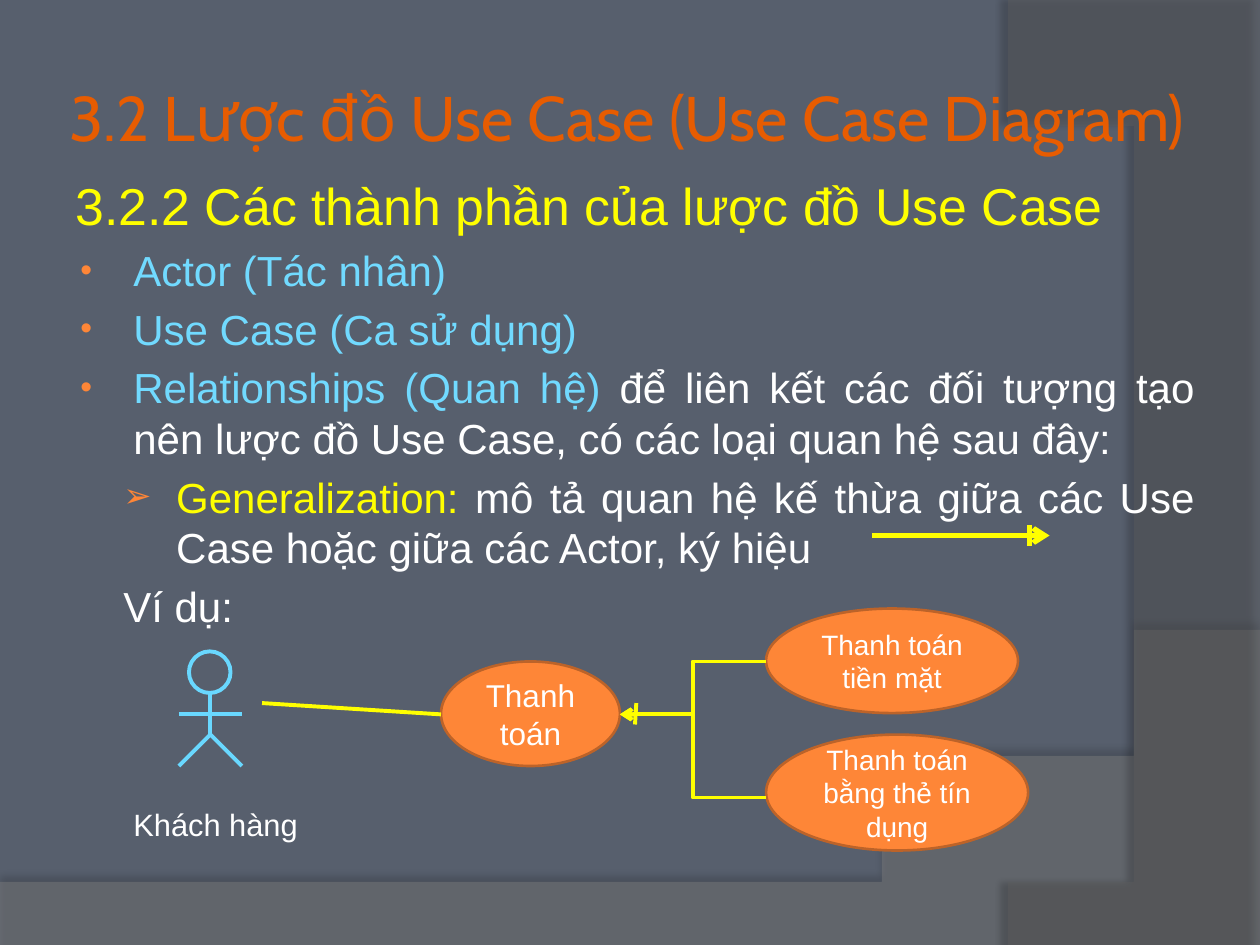
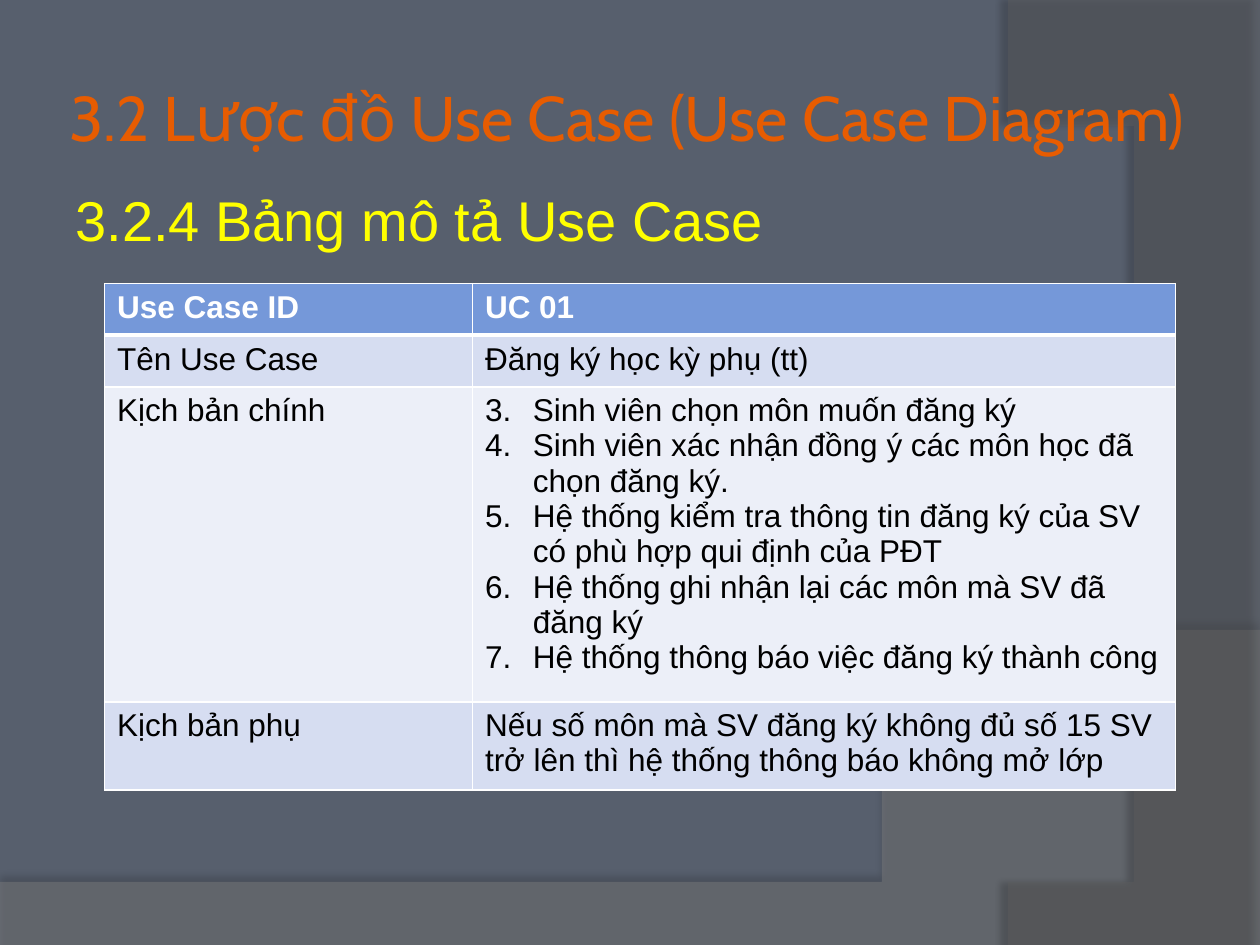
from lxml.etree import SubElement
from pptx import Presentation
from pptx.dml.color import RGBColor
from pptx.enum.shapes import MSO_CONNECTOR as LINK, MSO_SHAPE as SHAPE
from pptx.enum.text import MSO_ANCHOR as ANCHOR, PP_ALIGN as ALIGN
from pptx.oxml.ns import qn
from pptx.util import Inches, Pt

COLORS = {
    "page": "575F6D", "lower_band": "7F7F7F", "right_band": "5E5E5E", "shadow": "000000",
    "title": "E75C01", "yellow": "FFFF00", "sky": "71DAFF", "actor": "69D8FF",
    "white": "FFFFFF", "black": "000000", "orange": "FE8637", "rim": "BC6329",
    "header": "7598D9", "row_dark": "D6DDF1", "row_light": "ECEFF8",
}
RGB = {name: RGBColor.from_string(value) for name, value in COLORS.items()}
TITLE = "3.2 Lược đồ Use Case (Use Case Diagram)"


def write(para, runs, size, face="Arial", **style):
    for text, color in runs:
        span = para.add_run()
        span.text = text
        span.font.color.rgb = RGB[color]
        for name, value in {"size": Pt(size), "name": face, **style}.items():
            setattr(span.font, name, value)


def connect(page, start, end, color, width, kind=LINK.STRAIGHT, arrow=False):
    link = page.shapes.add_connector(kind, *map(Inches, start + end))
    link.line.color.rgb = RGB[color]
    link.line.width = Pt(width)
    properties = link._element.spPr
    if arrow:
        SubElement(properties.find(qn("a:ln")), qn("a:tailEnd"), type="arrow")
    SubElement(properties, qn("a:effectLst"))


deck = Presentation()
deck.slide_width, deck.slide_height = Inches(10), Inches(7.5)

bands = [
    ("lower_band", 45, [(0, 7.05), (0, 7.51), (10, 7.51), (10, 5.2)],
     [(5.59, 7.29), (3.91, 7.19), (0, 7.05)], 35, 3.5, 270),
    ("right_band", 40, [(10, 0.02), (10, 7.5), (8.21, 7.5)],
     [(9.35, 6.19), (10.18, 3), (8, 0)], 45, 4, 180),
]
headings = [
    ((0.5, 1.33, 9.08, 5.58), "3.2.2 Các thành phần của lược đồ Use Case", 29.6),
    ((0.5, 1.42, 9, 5.92), "3.2.4 Bảng mô tả Use Case", 32),
]
pages, bodies = [], []
for area, heading, size in headings:
    page = deck.slides.add_slide(deck.slide_layouts[6])
    page.background.fill.solid()
    page.background.fill.fore_color.rgb = RGB["page"]

    for color, opacity, corners, curve, shade, distance, angle in bands:
        bezier = [corners[-1]] + curve
        points = []
        for step in range(1, 41):
            t = step / 40
            weights = [(1 - t) ** 3, 3 * t * (1 - t) ** 2, 3 * t * t * (1 - t), t ** 3]
            points.append([sum(w * p[axis] for w, p in zip(weights, bezier)) for axis in (0, 1)])
        builder = page.shapes.build_freeform(*corners[0], scale=Inches(1))
        builder.add_line_segments(corners[1:] + points, close=True)
        band = builder.convert_to_shape()
        band.fill.solid()
        band.fill.fore_color.rgb = RGB[color]
        band.line.fill.background()
        band.shadow.inherit = False
        properties = band._element.spPr
        SubElement(properties.find(qn("a:solidFill"))[0], qn("a:alpha"), val=str(opacity * 1000))
        shadow = SubElement(properties.find(qn("a:effectLst")), qn("a:outerShdw"),
                            blurRad=str(Pt(4)), dist=str(Pt(distance)),
                            dir=str(angle * 60000), rotWithShape="0")
        tint = SubElement(shadow, qn("a:srgbClr"), val=COLORS["shadow"])
        SubElement(tint, qn("a:alpha"), val=str(shade * 1000))

    title = page.shapes.add_textbox(*map(Inches, (0.5, 0.3, 9.17, 1.25))).text_frame
    title.word_wrap = True
    title.vertical_anchor = ANCHOR.MIDDLE
    for side in ("left", "right", "top", "bottom"):
        setattr(title, f"margin_{side}", Inches(0.05))
    write(title.paragraphs[0], [(TITLE, "title")], 36, "Cabin")

    body = page.shapes.add_textbox(*map(Inches, area)).text_frame
    body.word_wrap = True
    para = body.paragraphs[0]
    para.space_before = Pt(1)
    para.line_spacing = Pt(size * 1.2)
    write(para, [(heading, "yellow")], size)
    pages.append(page)
    bodies.append(body)

diagram, description = pages

items = [
    ([("Actor (Tác nhân)", "sky")], "•", 0.46, -0.42, 24, 4.8, ALIGN.LEFT),
    ([("Use Case (Ca sử dụng)", "sky")], "•", 0.46, -0.42, 24, 4.8, ALIGN.LEFT),
    ([("Relationships (Quan hệ) ", "sky"),
      ("để liên kết các đối tượng tạo nên lược đồ Use Case, có các loại quan hệ sau đây:", "white")],
     "•", 0.46, -0.42, 24, 4.8, ALIGN.JUSTIFY),
    ([("Generalization: ", "yellow"),
      ("mô tả quan hệ kế thừa giữa các Use Case hoặc giữa các Actor, ký hiệu", "white")],
     "➢", 0.8, -0.42, 24, 4.8, ALIGN.JUSTIFY),
    ([("Ví dụ:", "white")], None, 0.8, -0.42, 24, 4.8, ALIGN.LEFT),
    ([("Khách hàng", "white")], None, 0.46, 0, 17.6, 100, ALIGN.LEFT),
]
for runs, bullet, margin, indent, size, gap, align in items:
    para = bodies[0].add_paragraph()
    for name, value in {"alignment": align, "space_before": Pt(gap),
                        "line_spacing": Pt(size * 1.2)}.items():
        setattr(para, name, value)
    layout = para._p.get_or_add_pPr()
    layout.set("marL", str(Inches(margin)))
    layout.set("indent", str(Inches(indent)))
    if bullet:
        SubElement(SubElement(layout, qn("a:buClr")), qn("a:srgbClr"), val=COLORS["orange"])
        SubElement(layout, qn("a:buSzPct"), val="80000")
        SubElement(layout, qn("a:buFont"), typeface="Arial")
        SubElement(layout, qn("a:buChar"), char=bullet)
    write(para, runs, size)

head = diagram.shapes.add_shape(SHAPE.OVAL, *map(Inches, (1.5, 5.17, 0.33, 0.33)))
head.fill.background()
head.line.color.rgb = RGB["actor"]
head.line.width = Pt(2.25)
head.shadow.inherit = False
limbs = [((1.67, 5.5), (1.67, 5.83)), ((1.42, 5.67), (1.92, 5.67)),
         ((1.67, 5.83), (1.42, 6.08)), ((1.67, 5.83), (1.92, 6.08))]
for start, end in limbs:
    connect(diagram, start, end, "actor", 2.25)

use_cases = [
    ("Thanh toán", (3.5, 5.25, 1.42, 0.83), 18),
    ("Thanh toán tiền mặt", (6.08, 4.83, 2, 0.83), 16),
    ("Thanh toán bằng thẻ tín dụng", (6.08, 5.83, 2.08, 0.92), 16),
]
for label, area, size in use_cases:
    oval = diagram.shapes.add_shape(SHAPE.OVAL, *map(Inches, area))
    oval.fill.solid()
    oval.fill.fore_color.rgb = RGB["orange"]
    oval.line.color.rgb = RGB["rim"]
    oval.line.width = Pt(1.5)
    oval.shadow.inherit = False
    oval.text_frame.word_wrap = True
    oval.text_frame.vertical_anchor = ANCHOR.MIDDLE
    para = oval.text_frame.paragraphs[0]
    para.alignment = ALIGN.CENTER
    write(para, [(label, "white")], size)

connect(diagram, (2.08, 5.58), (3.5, 5.67), "yellow", 2.25)
connect(diagram, (6.92, 4.25), (8.33, 4.25), "yellow", 3, arrow=True)
connect(diagram, (8.17, 4.17), (8.17, 4.33), "yellow", 3)
for child_y in (5.25, 6.33):
    connect(diagram, (6.08, child_y), (4.92, 5.67), "yellow", 2.25, LINK.ELBOW, arrow=True)
connect(diagram, (5.05, 5.58), (5.04, 5.75), "yellow", 2.25)

steps = [
    "Sinh viên chọn môn muốn đăng ký",
    "Sinh viên xác nhận đồng ý các môn học đã chọn đăng ký.",
    "Hệ thống kiểm tra thông tin đăng ký của SV có phù hợp qui định của PĐT",
    "Hệ thống ghi nhận lại các môn mà SV đã đăng ký",
    "Hệ thống thông báo việc đăng ký thành công",
]
rows = [
    (0.41, "header", "Use Case ID", ["UC 01"]),
    (0.41, "row_dark", "Tên Use Case", ["Đăng ký học kỳ phụ (tt)"]),
    (2.34, "row_light", "Kịch bản chính", steps),
    (0.66, "row_dark", "Kịch bản phụ",
     ["Nếu số môn mà SV đăng ký không đủ số 15 SV trở lên thì hệ thống thông báo không mở lớp"]),
]
table = description.shapes.add_table(4, 2, *map(Inches, (0.83, 2.25, 8.5, 3.82))).table
for column, width in zip(table.columns, (2.92, 5.58)):
    column.width = Inches(width)
for index, (height, fill, name, details) in enumerate(rows):
    table.rows[index].height = Inches(height)
    is_header = index == 0
    for cell, texts in zip(table.rows[index].cells, ([name], details)):
        borders = cell._tc.get_or_add_tcPr()
        for side in "LRTB":
            thick = (is_header and side == "B") or (index == 1 and side == "T")
            edge = SubElement(borders, qn(f"a:ln{side}"), w=str(Pt(3 if thick else 1)))
            SubElement(SubElement(edge, qn("a:solidFill")), qn("a:srgbClr"), val=COLORS["white"])
        cell.fill.solid()
        cell.fill.fore_color.rgb = RGB[fill]
        for order, text in enumerate(texts):
            para = cell.text_frame.add_paragraph() if order else cell.text_frame.paragraphs[0]
            if texts is steps:
                layout = para._p.get_or_add_pPr()
                layout.set("marL", str(Inches(0.38)))
                layout.set("indent", str(Inches(-0.38)))
                SubElement(layout, qn("a:buFont"), typeface="Arial")
                SubElement(layout, qn("a:buAutoNum"), type="arabicPeriod", startAt="3")
            write(para, [(text, "white" if is_header else "black")], 18, bold=is_header)

deck.save("out.pptx")
